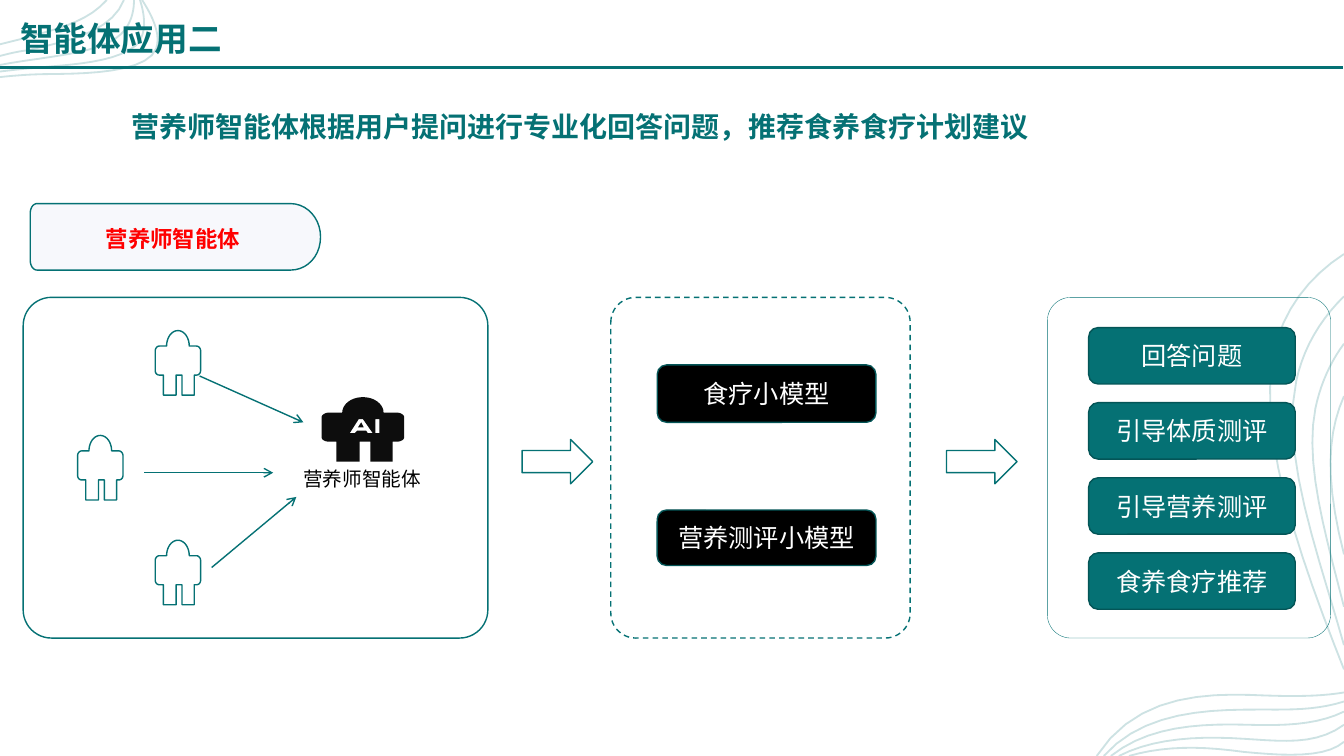
from dataclasses import dataclass
from typing import Optional

from pptx import Presentation, util as u
from pptx.dml.color import RGBColor
from pptx.enum import dml, shapes, text
from pptx.oxml import ns, xmlchemy

CELL = u.Inches(0.1)
COLS, ROWS = 133.33, 75
STEPS = 10
SANS, CJK = "Roboto", "Noto Sans CJK SC"
COLORS = {"teal": "057174", "edge": "045557", "black": "000000", "agent": "0D0D0D",
          "white": "FFFFFF", "red": "FF0000", "lilac": "B8C1E4"}


@dataclass
class Box:
    x: float
    y: float
    w: float
    h: float
    label: str = ""
    fill: Optional[str] = None
    line: Optional[str] = "teal"
    weight: float = 1
    kind: int = shapes.MSO_SHAPE.ROUNDED_RECTANGLE
    corner: Optional[float] = None
    dashed: bool = False


@dataclass
class Arrow:
    x1: float
    y1: float
    x2: float
    y2: float
    weight: float = 1
    head: bool = True


WAVES = [
    [(0, 4.4), (.8, 4.2, 1.6, 4, 2.4, 3.8), (5, 3, 8.5, 2.4, 10.6, 0)],
    [(0, 7.65), (1.8, 7.45, 3.5, 7.35, 5.2, 7.35), (8, 7.3, 14.6, 7.3, 15.5, 4.8),
     (16, 3.3, 15, 1.4, 14.1, 0)],
    [(0, 7.1), (1.6, 6.9, 3.1, 6.75, 4.5, 6.65), (7, 6.4, 11.5, 6.2, 13.5, 4.5),
     (14.6, 3.4, 14.4, 1.6, 13.9, 0)],
    [(0, 6.45), (1.3, 6.2, 2.7, 6, 4.1, 5.8), (7.5, 5.3, 10.5, 4.8, 12, 3.4),
     (13, 2.4, 13.3, 1.2, 13.3, 0)],
    [(0, 5.55), (1, 5.3, 1.8, 5.1, 2.7, 5), (6, 4.2, 11, 3.4, 12.3, 0)],
    [(COLS, 39.3), (131.7, 43, 131.4, 47.5, COLS, 55)],
    [(COLS, 34.1), (132, 35.9, 131, 38.1, 130.5, 40.5), (129.4, 46, 131.5, 53, COLS, 60.2)],
    [(COLS, 29.4), (131, 31.7, 129.3, 34.5, 128.6, 37.8), (127, 45, 130.8, 55, COLS, 64)],
    [(COLS, 25.2), (129, 28, 126, 32.5, 126, 38.5), (125.7, 46.5, 130, 58, COLS, 66.4)],
    [(COLS, 68.7), (131, 69.1, 128.2, 69.1, 125.5, 69), (120.5, 68.8, 113, 68.5, 108.8, ROWS)],
    [(COLS, 69.6), (130.5, 70.5, 127.8, 70.4, 124.9, 70.4), (120, 70.4, 113.5, 70.5, 109.5, ROWS)],
    [(COLS, 70.6), (130.5, 72, 127, 72, 123.5, 71.9), (119, 71.8, 114, 72, 110.2, ROWS)],
    [(COLS, 71.9), (130.5, 74, 127, 73.5, 123.5, 73.3), (119, 73, 114.5, 73.2, 111, ROWS)],
    [(COLS, 73.6), (131.5, 75.2, 127.5, ROWS, 123.4, 74.6), (119, 74, 115.5, 74, 112, ROWS)],
]
BODY = [(50, 0), (64, 0, 75, 11, 75, 24), (91, 24), (96, 24, 100, 28, 100, 31), (100, 62),
        (100, 66, 96, 69, 91, 69), (86, 69), (86, 100), (59, 100), (59, 69), (46, 69),
        (46, 100), (18, 100), (18, 69), (9, 69), (4, 69, 0, 66, 0, 62), (0, 31),
        (0, 28, 4, 24, 9, 24), (25, 24), (25, 11, 36, 0, 50, 0)]
AI_LETTERS = [
    [(45, 34), (34, 56), (40, 56), (43, 52), (54, 52), (56, 56), (62, 56), (50, 34)],
    [(48, 39), (51, 47), (44, 47)],
    [(65, 34), (65, 56), (70, 56), (70, 34)],
]
TAG = [(3.7, 20.2), (28.8, 20.2), (30.5, 20.2, 31.8, 21.7, 31.8, 23.5),
       (31.8, 25.4, 30.5, 26.8, 28.8, 26.8), (3.7, 26.8),
       (3.3, 26.8, 3, 26.4, 3, 25.8), (3, 21.2), (3, 20.6, 3.3, 20.2, 3.7, 20.2)]

PANELS = [Box(2.3, 29.5, 46.1, 33.8, corner=.083),
          Box(60.6, 29.5, 29.7, 33.8, corner=.083, dashed=True),
          Box(103.9, 29.5, 28.1, 33.8, corner=.083, weight=.25)]
FLOWS = [Box(x, 43.6, 7, 4.4, kind=shapes.MSO_SHAPE.RIGHT_ARROW) for x in (51.8, 93.9)]
MODELS = [Box(65.2, 36.2, 21.7, 5.7, "食疗小模型", "black", "edge"),
          Box(65.2, 50.6, 21.7, 5.5, "营养测评小模型", "black", "edge")]
SERVICES = [Box(108, 32.5 + i * 7.45, 20.5, 5.6, label, "teal", "edge")
            for i, label in enumerate(("回答问题", "引导体质测评", "引导营养测评", "食养食疗推荐"))]
USERS = [(15.4, 32.8), (7.7, 43.2), (15.4, 53.6)]
ARROWS = [Arrow(19.8, 37.3, 30.1, 41.9), Arrow(14.3, 46.9, 27.1, 46.9),
          Arrow(21, 56.3, 29.4, 49.3)]


def rgb(name: str) -> RGBColor:
    return RGBColor.from_string(COLORS[name])


def place(sp, x: float, y: float, w: float, h: float) -> None:
    sp.left, sp.top, sp.width, sp.height = (u.Emu(round(v * CELL)) for v in (x, y, w, h))


def add_xml(parent, tag: str, **attrs: str):
    child = xmlchemy.OxmlElement(tag)
    for key, value in attrs.items():
        child.set(key, value)
    parent.append(child)
    return child


def paint(sp, fill: Optional[str], line: Optional[str], weight: float = 1) -> None:
    sp.shadow.inherit = False
    if fill:
        sp.fill.solid()
        sp.fill.fore_color.rgb = rgb(fill)
    else:
        sp.fill.background()
    if line:
        sp.line.color.rgb = rgb(line)
        sp.line.width = u.Pt(weight)
    else:
        sp.line.fill.background()


def set_opacity(element, percent: int) -> None:
    add_xml(element.find(".//" + ns.qn("a:srgbClr")), "a:alpha", val=str(percent * 1000))


def write(sp, label: str, size: float, color: str, bold: bool = False, font: str = SANS,
          align=text.PP_ALIGN.LEFT, anchor=text.MSO_ANCHOR.TOP, spacing: float = 1) -> None:
    tf = sp.text_frame
    tf.text = label
    tf.word_wrap = True
    tf.auto_size = text.MSO_AUTO_SIZE.NONE
    tf.vertical_anchor = anchor
    p = tf.paragraphs[0]
    p.alignment, p.line_spacing = align, spacing
    r = p.runs[0]
    r.font.name, r.font.size, r.font.bold = font, u.Pt(size), bold
    r.font.color.rgb = rgb(color)
    add_xml(r.font._element, "a:ea", typeface=CJK)


def trace(outline: list) -> list:
    points = [outline[0]]
    for segment in outline[1:]:
        if len(segment) == 2:
            points.append(segment)
            continue
        (x0, y0), (x1, y1, x2, y2, x3, y3) = points[-1], segment
        for i in range(1, STEPS + 1):
            t = i / STEPS
            a, b, c, d = (1 - t) ** 3, 3 * t * (1 - t) ** 2, 3 * t * t * (1 - t), t ** 3
            points.append((a * x0 + b * x1 + c * x2 + d * x3, a * y0 + b * y1 + c * y2 + d * y3))
    return points


def draw_outline(s, outlines: list, x: float = 0, y: float = 0, sx: float = 1, sy: float = 1,
                 close: bool = True):
    builder = None
    for outline in outlines:
        points = [((x + px * sx) * CELL, (y + py * sy) * CELL) for px, py in trace(outline)]
        if builder is None:
            builder = s.shapes.build_freeform(*points[0])
        else:
            builder.move_to(*points[0])
        builder.add_line_segments(points[1:], close=close)
    return builder.convert_to_shape()


def draw_box(s, box: Box) -> None:
    sp = s.shapes.add_shape(box.kind, 0, 0, 0, 0)
    place(sp, box.x, box.y, box.w, box.h)
    paint(sp, box.fill, box.line, box.weight)
    if box.corner:
        sp.adjustments[0] = box.corner
    if box.dashed:
        sp.line.dash_style = dml.MSO_LINE.DASH
    if box.label:
        write(sp, box.label, 18, "white", align=text.PP_ALIGN.CENTER,
              anchor=text.MSO_ANCHOR.MIDDLE)


def draw_arrow(s, arrow: Arrow) -> None:
    ends = (round(v * CELL) for v in (arrow.x1, arrow.y1, arrow.x2, arrow.y2))
    line = s.shapes.add_connector(shapes.MSO_CONNECTOR.STRAIGHT, *ends)
    line.line.color.rgb = rgb("teal")
    line.line.width = u.Pt(arrow.weight)
    if arrow.head:
        add_xml(line.line._get_or_add_ln(), "a:tailEnd", type="arrow")
    add_xml(line._element.spPr, "a:effectLst")


def draw_text(s, x: float, y: float, w: float, h: float, label: str, size: float,
              color: str, **style) -> None:
    sp = s.shapes.add_textbox(0, 0, 0, 0)
    place(sp, x, y, w, h)
    write(sp, label, size, color, **style)


def main() -> None:
    prs = Presentation()
    prs.slide_width, prs.slide_height = round(COLS * CELL), ROWS * CELL
    s = prs.slides.add_slide(prs.slide_layouts[5])
    for wave in WAVES:
        sp = draw_outline(s, [wave], close=False)
        paint(sp, None, "teal", 1.3)
        set_opacity(sp.line._get_or_add_ln(), 20)
    draw_arrow(s, Arrow(0, 6.7, 133.2, 6.7, weight=2.5, head=False))
    draw_text(s, 1, 1.3, 29.1, 5, "智能体应用二", 24, "teal", bold=True)

    title = s.shapes.title
    place(title, 13, 8.9, 95, 5.3)
    write(title, "营养师智能体根据用户提问进行专业化回答问题，推荐食养食疗计划建议", 20, "teal",
          bold=True, font=CJK, anchor=text.MSO_ANCHOR.BOTTOM)
    tf = title.text_frame
    tf.margin_left = tf.margin_top = tf.margin_right = tf.margin_bottom = 0

    tag = draw_outline(s, [TAG])
    paint(tag, "lilac", "teal")
    set_opacity(tag._element.spPr.find(ns.qn("a:solidFill")), 10)
    write(tag, "营养师智能体", 16, "red", bold=True, anchor=text.MSO_ANCHOR.MIDDLE, spacing=1.3)
    tf = tag.text_frame
    tf.margin_left, tf.margin_top = round(7.5 * CELL), 0
    tf.margin_right, tf.margin_bottom = round(1.2 * CELL), round(.5 * CELL)

    for box in PANELS + FLOWS + MODELS + SERVICES:
        draw_box(s, box)
    for x, y in USERS:
        paint(draw_outline(s, [BODY], x, y, .045, .064), None, "teal")
    paint(draw_outline(s, [BODY] + AI_LETTERS, 31.9, 39.4, .082, .064), "agent", None)
    draw_text(s, 28.1, 45.1, 15.7, 4.1, "营养师智能体", 14, "black",
              align=text.PP_ALIGN.CENTER, spacing=1.3)
    for arrow in ARROWS:
        draw_arrow(s, arrow)
    prs.save("out.pptx")


if __name__ == "__main__":
    main()
